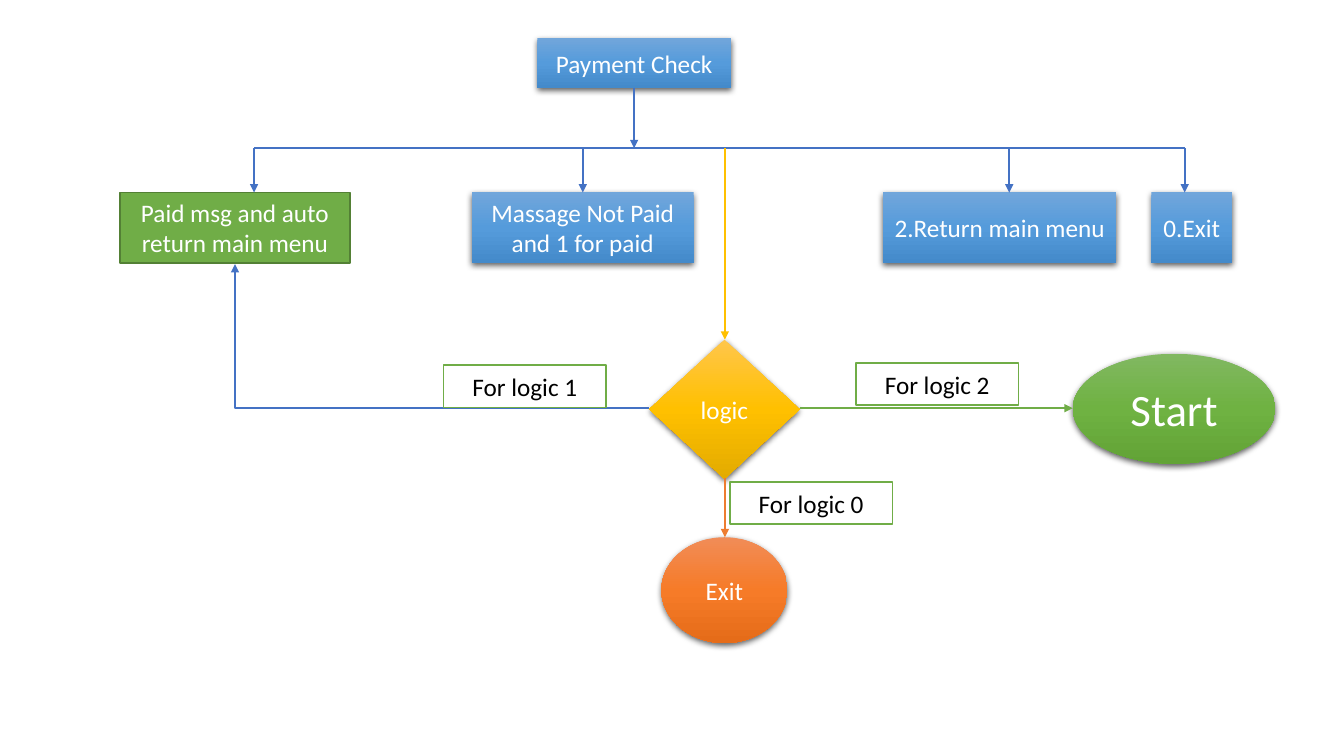
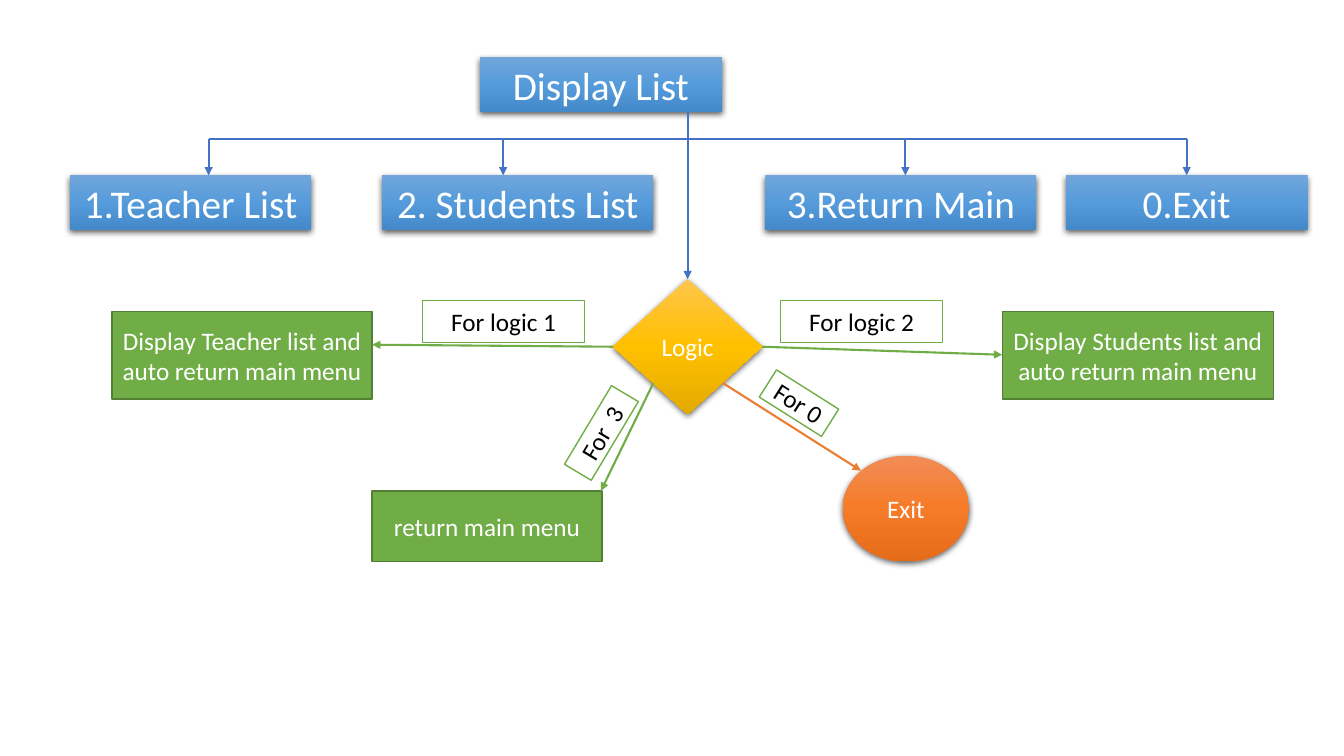
import copy

import pptx
import pptx.dml.color
import pptx.enum.shapes
import pptx.enum.text
import pptx.oxml
import pptx.oxml.ns
import pptx.util
from pptx.dml.color import RGBColor
from pptx.enum.shapes import MSO_CONNECTOR, MSO_SHAPE
from pptx.util import Inches, Pt

# Shared colours
WHITE = RGBColor(0xFF, 0xFF, 0xFF)
BLACK = RGBColor(0x00, 0x00, 0x00)
BLUE = RGBColor(0x44, 0x72, 0xC4)
GREEN = RGBColor(0x70, 0xAD, 0x47)
DARK_GREEN = RGBColor(0x53, 0x80, 0x35)
ORANGE = RGBColor(0xED, 0x7D, 0x31)
GOLD = RGBColor(0xFF, 0xC0, 0x00)

# Gradients from top to middle to bottom
BLUE_GLOSS = (RGBColor(0x71, 0xA6, 0xDB), RGBColor(0x55, 0x9B, 0xDB), RGBColor(0x44, 0x8A, 0xCA))
GREEN_GLOSS = (RGBColor(0x81, 0xB8, 0x61), RGBColor(0x6F, 0xB2, 0x42), RGBColor(0x62, 0xA3, 0x36))
ORANGE_GLOSS = (RGBColor(0xF1, 0x8C, 0x57), RGBColor(0xF6, 0x7B, 0x28), RGBColor(0xE5, 0x6C, 0x19))
GOLD_GLOSS = (RGBColor(0xFF, 0xC6, 0x4B), GOLD, RGBColor(0xE3, 0xAB, 0x00))

SHADOW_XML = (
    f'<a:outerShdw {pptx.oxml.ns.nsdecls("a")} blurRad="57150" dist="19050" dir="5400000" '
    'algn="ctr" rotWithShape="0"><a:srgbClr val="000000"><a:alpha val="63000"/></a:srgbClr>'
    '</a:outerShdw>'
)


class Flowchart:
    """Holds the chart style and the slide being drawn."""

    font_name = "Calibri"
    font_size = 18
    line_width = Pt(1.5)
    border_width = Pt(1)

    def __init__(self):
        self.presentation = pptx.Presentation()
        self.presentation.slide_width = Inches(13.33)
        self.presentation.slide_height = Inches(7.5)
        self.slide = None

    def new_slide(self):
        blank_layout = self.presentation.slide_layouts[6]
        self.slide = self.presentation.slides.add_slide(blank_layout)

    def _shape(self, kind, text, box, size, color):
        shape = self.slide.shapes.add_shape(kind, *map(Inches, box))
        shape.shadow.inherit = False
        frame = shape.text_frame
        frame.word_wrap = True
        frame.vertical_anchor = pptx.enum.text.MSO_ANCHOR.MIDDLE
        frame.text = text
        paragraph = frame.paragraphs[0]
        paragraph.alignment = pptx.enum.text.PP_ALIGN.CENTER
        paragraph.font.name = self.font_name
        paragraph.font.size = Pt(size)
        paragraph.font.color.rgb = color
        return shape

    def glossy(self, text, box, colors=BLUE_GLOSS, kind=MSO_SHAPE.RECTANGLE, size=font_size):
        """A node with a vertical gradient and a soft shadow."""
        shape = self._shape(kind, text, box, size, WHITE)
        shape.line.fill.background()
        shape.fill.gradient()
        shape.fill.gradient_angle = 270
        properties = shape._element.spPr
        stop_list = properties.find(".//" + pptx.oxml.ns.qn("a:gsLst"))
        stop_list.append(copy.deepcopy(stop_list[0]))
        for stop, position, color in zip(shape.fill.gradient_stops, (0, 0.5, 1), colors):
            stop.position = position
            stop.color.rgb = color
        effects = properties.find(pptx.oxml.ns.qn("a:effectLst"))
        effects.append(pptx.oxml.parse_xml(SHADOW_XML))

    def flat(self, text, box, fill=GREEN, border=DARK_GREEN, color=WHITE, rotation=0):
        """A plain box with a thin border."""
        shape = self._shape(MSO_SHAPE.RECTANGLE, text, box, self.font_size, color)
        shape.fill.solid()
        shape.fill.fore_color.rgb = fill
        shape.line.color.rgb = border
        shape.line.width = self.border_width
        shape.rotation = rotation

    def label(self, text, left, top, width=1.61, height=0.42, rotation=0):
        self.flat(text, (left, top, width, height), WHITE, GREEN, BLACK, rotation)

    def line(self, start, end, color=BLUE, arrow=True, kind=MSO_CONNECTOR.STRAIGHT):
        connector = self.slide.shapes.add_connector(kind, *map(Inches, start + end))
        connector.line.color.rgb = color
        connector.line.width = self.line_width
        properties = connector._element.spPr
        if arrow:
            tail = pptx.oxml.parse_xml(f'<a:tailEnd {pptx.oxml.ns.nsdecls("a")} type="triangle"/>')
            properties.find(pptx.oxml.ns.qn("a:ln")).append(tail)
        properties.append(pptx.oxml.parse_xml(f'<a:effectLst {pptx.oxml.ns.nsdecls("a")}/>'))
        return connector

    def corner_arrow(self, start, end):
        """An arrow that runs left from its start, then turns up to its end."""
        connector = self.line(start, end, kind=MSO_CONNECTOR.ELBOW)
        properties = connector._element.spPr
        properties.find(pptx.oxml.ns.qn("a:prstGeom")).set("prst", "bentConnector2")
        transform = properties.find(pptx.oxml.ns.qn("a:xfrm"))
        for flip in ("flipH", "flipV"):
            transform.attrib.pop(flip, None)
        transform.set("rot", "10800000")

    def branches(self, level, bottom, columns):
        """A horizontal line with an arrow down to each option."""
        self.line((columns[0], level), (columns[-1], level), arrow=False)
        for column in columns:
            self.line((column, level), (column, bottom))

    def decision(self, text, box):
        self.glossy(text, box, GOLD_GLOSS, MSO_SHAPE.DIAMOND)

    def exit_node(self, left, top):
        self.glossy("Exit", (left, top, 1.25, 1.05), ORANGE_GLOSS, MSO_SHAPE.OVAL)


chart = Flowchart()

# Slide 1: payment check
chart.new_slide()
chart.glossy("Payment Check", (5.33, 0.38, 1.92, 0.49))
option_top, option_height = 1.91, 0.7
chart.flat("Paid msg and auto return main menu", (1.19, option_top, 2.28, option_height))
for text, left, width in (
    ("Massage Not Paid and 1 for paid", 4.68, 2.2),
    ("2.Return main menu", 8.76, 2.31),
    ("0.Exit", 11.42, 0.8),
):
    chart.glossy(text, (left, option_top, width, option_height))
chart.exit_node(6.56, 5.33)
chart.glossy("Start", (10.64, 3.51, 2.01, 1.09), GREEN_GLOSS, MSO_SHAPE.OVAL, 32)
chart.decision("logic", (6.44, 3.37, 1.49, 1.38))

# Payment arrows and their labels
branch_level = 1.47
chart.branches(branch_level, option_top, (2.52, 5.78, 10.01, 11.75))
chart.line((6.29, 0.87), (6.29, branch_level))
chart.corner_arrow((6.44, 4.05), (2.33, 2.62))
chart.line((7.93, 4.05), (10.64, 4.05), GREEN)
chart.line((7.19, 4.74), (7.19, 5.33), ORANGE)
chart.label("For logic 1", 4.4, 3.62)
chart.label("For logic 2", 8.49, 3.6)
chart.label("For logic 0", 7.24, 4.78)
chart.line((7.19, branch_level), (7.19, 3.37), GOLD)

# Slide 2: display list
chart.new_slide()
option_top = 1.74
for text, left, top, width in (
    ("Display List", 4.76, 0.57, 2.4),
    ("1.Teacher List", 0.69, option_top, 2.4),
    ("2. Students List", 3.79, option_top, 2.69),
    ("3.Return Main", 7.59, option_top, 2.69),
    ("0.Exit", 10.57, option_top, 2.4),
):
    chart.glossy(text, (left, top, width, 0.54), size=28)
chart.branches(1.38, option_top, (2.07, 4.99, 8.98, 11.77))
chart.line((6.82, 1.11), (6.82, 2.77))

# Decision and its outcomes
chart.decision("Logic", (6.08, 2.77, 1.48, 1.34))
chart.flat("Display Teacher list and auto return main menu", (1.11, 3.09, 2.58, 0.87))
chart.flat("Display Students list and auto return main menu", (9.94, 3.09, 2.69, 0.87))
chart.flat("return main menu", (3.69, 4.87, 2.28, 0.7))
chart.exit_node(8.36, 4.52)

# Outcome arrows and their labels
chart.line((6.08, 3.44), (3.69, 3.42), GREEN)
chart.line((7.56, 3.44), (9.94, 3.52), GREEN)
chart.line((7.17, 3.8), (8.54, 4.67), ORANGE)
chart.line((6.48, 3.8), (5.96, 4.87), GREEN)
chart.label("For logic 1", 4.19, 2.98)
chart.label("For logic 2", 7.74, 2.98)
chart.label("For  3", 5.51, 4.14, 0.91, 0.31, 300.9)
chart.label("For 0", 7.56, 3.84, 0.73, 0.32, 32.3)

chart.presentation.save("out.pptx")
